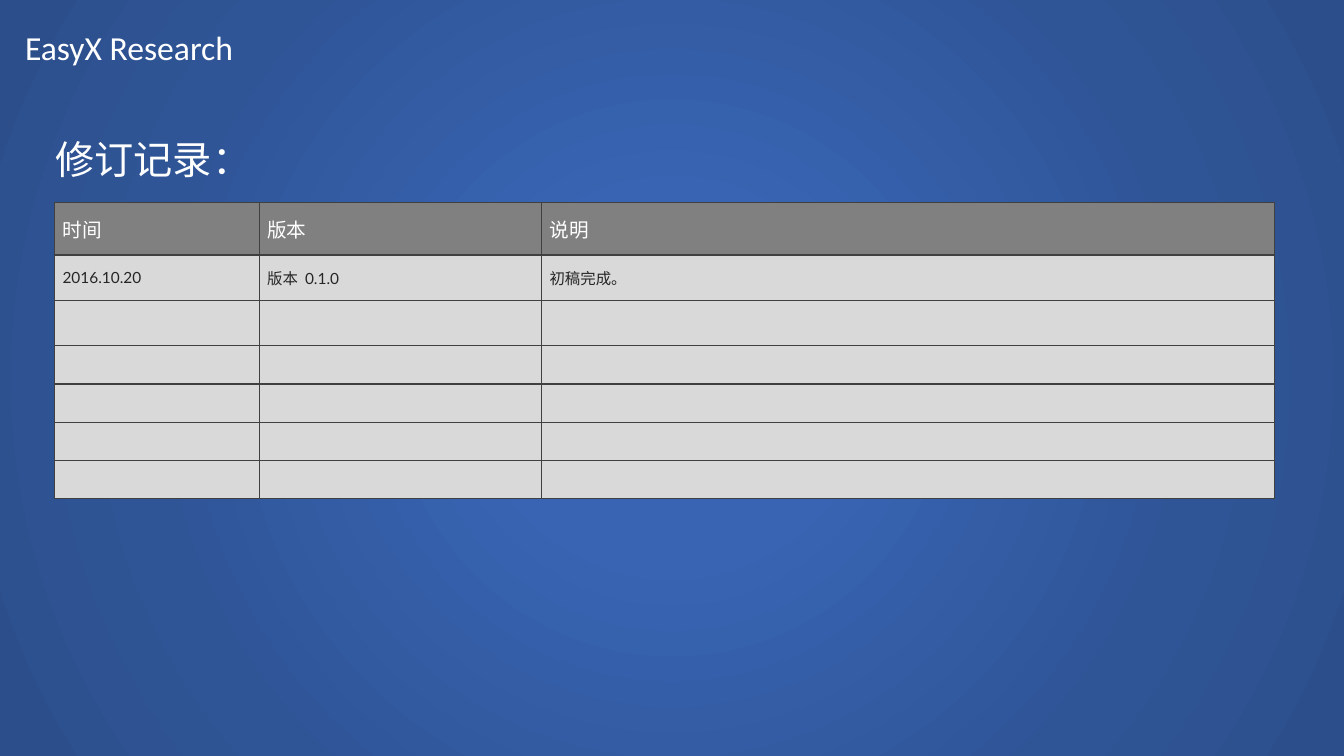
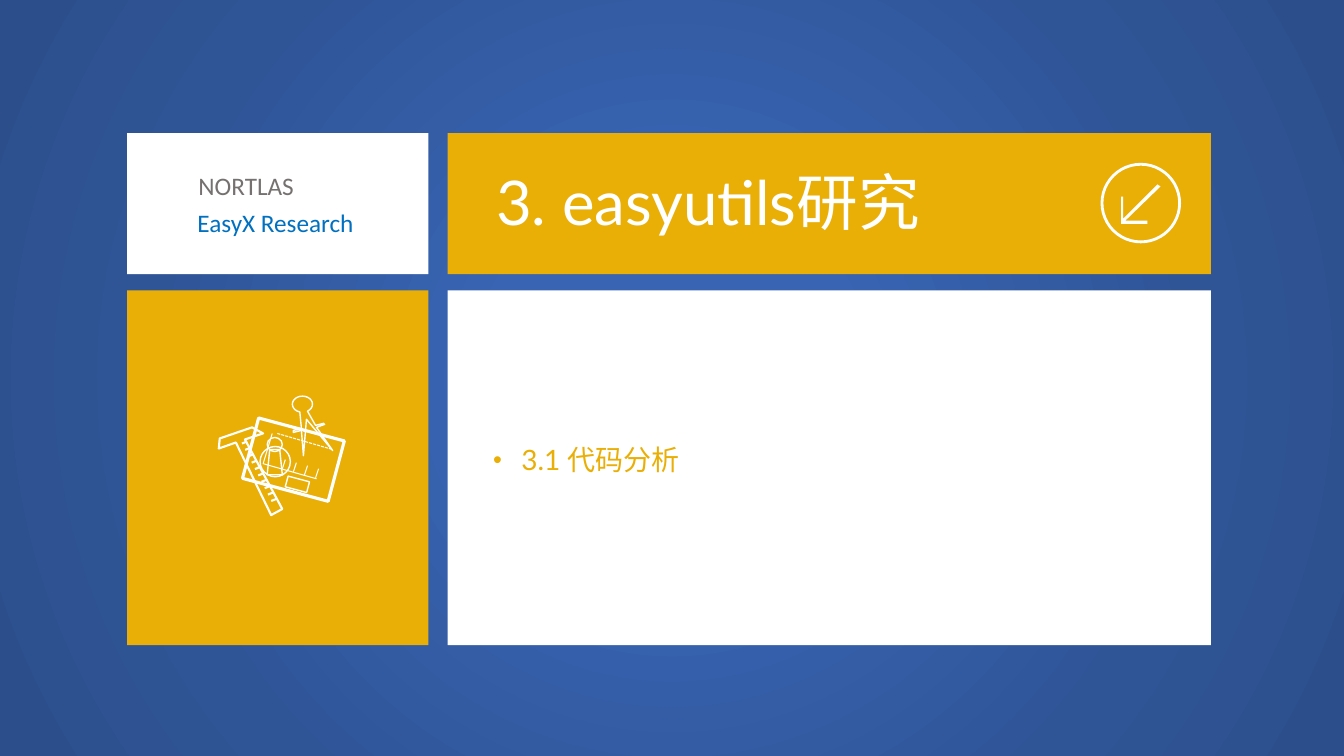
import math

import lxml.etree
import pptx
import pptx.dml.color
import pptx.enum.dml
import pptx.enum.shapes
import pptx.enum.text
import pptx.oxml
import pptx.oxml.ns
import pptx.util

Inches = pptx.util.Inches
RGB = pptx.dml.color.RGBColor
SHAPE = pptx.enum.shapes.MSO_SHAPE
STRAIGHT = pptx.enum.shapes.MSO_CONNECTOR.STRAIGHT
ANCHOR = pptx.enum.text.MSO_ANCHOR
qn = pptx.oxml.ns.qn

WHITE = RGB(0xFF, 0xFF, 0xFF)
GOLD = RGB(0xEA, 0xAF, 0x07)
BLUE = RGB(0x00, 0x70, 0xC0)
GREY = RGB(0x76, 0x71, 0x71)
HEAD = RGB(0x80, 0x80, 0x80)
CELL = RGB(0xD9, 0xD9, 0xD9)
INK = RGB(0x26, 0x26, 0x26)
RULE = RGB(0x40, 0x40, 0x40)
GLOW = [(0, RGB(0x38, 0x64, 0xB3)), (23, RGB(0x38, 0x64, 0xB3)),
        (69, RGB(0x2F, 0x55, 0x97)), (97, RGB(0x2C, 0x4F, 0x8C))]

BODY = "Lato"
LABEL = "Calibri"
WIDE, HIGH = 13.33, 7.5
FRAME = {"word_wrap": True, "vertical_anchor": ANCHOR.TOP,
         "auto_size": pptx.enum.text.MSO_AUTO_SIZE.SHAPE_TO_FIT_TEXT,
         "margin_left": Inches(0.1), "margin_right": Inches(0.1),
         "margin_top": Inches(0.05), "margin_bottom": Inches(0.05)}
PAD = {"margin_left": Inches(0.08), "margin_right": Inches(0.08),
       "margin_top": Inches(0.04), "margin_bottom": Inches(0.04),
       "vertical_anchor": ANCHOR.MIDDLE}


def apply(item, vals):
    """Set every attribute in a dict of format values."""
    for key, val in vals.items():
        setattr(item, key, val)


def write(frame, text, size, font, color):
    """Write one left-aligned paragraph in one style."""
    para = frame.paragraphs[0]
    para.alignment = pptx.enum.text.PP_ALIGN.LEFT
    run = para.add_run()
    run.text = text
    apply(run.font, {"size": pptx.util.Pt(size), "name": font, "bold": False})
    run.font.color.rgb = color
    return para


def label(slide, box, text, size, font, color):
    """Add a line of free text."""
    frame = slide.shapes.add_textbox(*map(Inches, box)).text_frame
    apply(frame, FRAME)
    write(frame, text, size, font, color)


def fill_in(slide, index, box, text, size, color, inset=None):
    """Move a placeholder to its box, bring it forward and fill it."""
    holder = slide.placeholders[index]
    apply(holder, dict(zip(("left", "top", "width", "height"), map(Inches, box))))
    apply(holder.text_frame, FRAME | (inset or {}))
    slide.shapes.element.append(holder.element)
    return write(holder.text_frame, text, size, BODY, color)


def style(shape, fill=None, line=None, width=1):
    """Give a shape a plain fill and line without shadow."""
    shape.shadow.inherit = False
    if fill is None:
        shape.fill.background()
    else:
        shape.fill.solid()
        shape.fill.fore_color.rgb = fill
    if line is None:
        shape.line.fill.background()
    else:
        shape.line.color.rgb = line
        shape.line.width = pptx.util.Pt(width)
    return shape


def panel(shapes, box, kind=SHAPE.RECTANGLE, **look):
    """Add a styled preset shape."""
    return style(shapes.add_shape(kind, *map(Inches, box)), **look)


def outline(shapes, spots, **look):
    """Add a closed outline through the given spots."""
    spots = [(Inches(x), Inches(y)) for x, y in spots]
    pen = shapes.build_freeform(*spots[0], scale=1.0)
    pen.add_line_segments(spots[1:], close=True)
    return style(pen.convert_to_shape(), **look)


def stroke(shapes, start, end, width):
    """Add a white straight line."""
    line = shapes.add_connector(STRAIGHT, *map(Inches, (*start, *end)))
    line.line.color.rgb = WHITE
    line.line.width = pptx.util.Pt(width)
    lxml.etree.SubElement(line.element.spPr, qn("a:effectLst"))
    return line


def base(deck, layout):
    """Start a slide on the shared radial backdrop."""
    slide = deck.slides.add_slide(deck.slide_layouts[layout])
    back = panel(slide.shapes, (0, 0, WIDE, HIGH))
    stops = "".join(f'<a:gs pos="{spot * 1000}"><a:srgbClr val="{tone}"/></a:gs>'
                    for spot, tone in GLOW)
    grad = pptx.oxml.parse_xml(
        f'<a:gradFill {pptx.oxml.ns.nsdecls("a")} rotWithShape="1"><a:gsLst>{stops}</a:gsLst>'
        '<a:path path="circle"><a:fillToRect l="50000" t="50000" r="50000" b="50000"/>'
        '</a:path></a:gradFill>')
    props = back.element.spPr
    props.replace(props.find(qn("a:noFill")), grad)
    return slide


def border(cell):
    """Draw thin lines on all four sides of a cell."""
    props = cell._tc.get_or_add_tcPr()
    for spot, side in enumerate(("lnL", "lnR", "lnT", "lnB")):
        props.insert(spot, pptx.oxml.parse_xml(
            f'<a:{side} {pptx.oxml.ns.nsdecls("a")} w="12700"><a:solidFill>'
            f'<a:srgbClr val="{RULE}"/></a:solidFill></a:{side}>'))


def grid(slide, box, cols, rows, data):
    """Add the table of changes, with spare rows below the data."""
    table = slide.shapes.add_table(len(rows), len(cols), *map(Inches, box)).table
    table.horz_banding = False
    for col, width in zip(table.columns, cols):
        col.width = Inches(width)
    for i, (row, height) in enumerate(zip(table.rows, rows)):
        row.height = Inches(height)
        size, color, fill = (11, INK, CELL) if i else (14, WHITE, HEAD)
        for j, cell in enumerate(row.cells):
            apply(cell, PAD)
            cell.fill.solid()
            cell.fill.fore_color.rgb = fill
            border(cell)
            if i < len(data):
                write(cell.text_frame, data[i][j], size, BODY, color)


def arrow(slide, box):
    """Draw the ringed arrow."""
    x, y, width, height = box
    panel(slide.shapes, (x + 0.01, y + 0.01, width - 0.02, height - 0.02),
          SHAPE.OVAL, line=WHITE, width=2)
    spots = [(0.46, 0.6), (0.2, 0.6), (0.2, 0.33), (0.22, 0.33), (0.22, 0.55),
             (0.56, 0.21), (0.59, 0.23), (0.24, 0.57), (0.46, 0.57)]
    outline(slide.shapes, [(x + a, y + b) for a, b in spots], fill=WHITE)


def tools(slide, x, y):
    """Draw the drafting sheet, compass and ruler as one group."""
    group = slide.shapes.add_group_shape().shapes

    def part(box, kind, width=1, turn=0):
        """Add an unfilled shape at an offset."""
        shape = panel(group, (x + box[0], y + box[1], *box[2:]), kind,
                      line=WHITE, width=width)
        shape.rotation = turn
        return shape

    def mark(a, b, c, d, width=0.75):
        """Add a line between two offsets."""
        return stroke(group, (x + a, y + b), (x + c, y + d), width)

    def trace(spots, width):
        """Add an outline through offsets."""
        outline(group, [(x + a, y + b) for a, b in spots], line=WHITE, width=width)

    part((0.48, 0.42, 0.15, 0.14), SHAPE.OVAL)
    part((0.48, 0.54, 0.15, 0.25), SHAPE.TRAPEZOID).adjustments[0] = 0.17
    part((0.3, 0.33, 0.88, 0.62), SHAPE.RECTANGLE, 2.25, 15)
    part((0.41, 0.51, 0.3, 0.3), SHAPE.OVAL)
    part((0.67, 0.83, 0.22, 0.11), SHAPE.RECTANGLE, turn=15)
    mark(0.44, 0.68, 0.97, 0.83)
    mark(0.53, 0.38, 0.44, 0.68)
    dash = mark(0.58, 0.38, 1.13, 0.54)
    dash.line.dash_style = pptx.enum.dml.MSO_LINE.SQUARE_DOT
    for i in range(4):
        a, b = 0.63 + 0.11 * i, 0.73 + 0.03 * i
        mark(a, b, a + 0.03, b - 0.09)

    ring = [(0.83 + 0.1 * math.cos(math.radians(turn)),
             0.09 + 0.08 * math.sin(math.radians(turn)))
            for turn in range(60, -256, -15)]
    legs = [(0.82, 0.33), (0.74, 0.35), (0.74, 0.37), (0.82, 0.35), (0.84, 0.6),
            (0.87, 0.24), (1.13, 0.55), (0.97, 0.32), (1.05, 0.29),
            (1.04, 0.28), (0.96, 0.3)]
    trace(ring + legs, 1)
    trace([(0.17, 0.47), (0.52, 1.19), (0.63, 1.13), (0.26, 0.44),
           (0.44, 0.38), (0.33, 0.32), (0.01, 0.43), (0, 0.53)], 1.5)
    for i in range(10):
        a, b = 0.28 + 0.29 * i / 9, 0.46 + 0.57 * i / 9
        mark(a, b, a - 0.05, b + 0.02, 1.5)


def bullet(para):
    """Turn a paragraph into a hanging bullet."""
    props = para._p.get_or_add_pPr()
    hang = Inches(0.28)
    props.set("marL", str(hang))
    props.set("indent", str(-hang))
    lxml.etree.SubElement(props, qn("a:buSzPct")).set("val", "90000")
    lxml.etree.SubElement(props, qn("a:buChar")).set("char", "•")
    apply(para, {"line_spacing": 0.9, "space_before": pptx.util.Pt(0)})


def record(deck):
    """Build the slide with the table of changes."""
    slide = base(deck, 5)
    label(slide, (0.15, 0.22, 5.04, 0.5), "EasyX Research", 24, LABEL, WHITE)
    fill_in(slide, 0, (0.45, 1.29, 11.77, 0.57), "修订记录：", 28, WHITE)
    grid(slide, (0.54, 2.01, 12.1, 2.96), [2.03, 2.8, 7.27],
         [0.52, 0.45, 0.45] + [0.38] * 4,
         [("时间", "版本", "说明"), ("2016.10.20", "版本  0.1.0", "初稿完成。")])


def chapter(deck, box):
    """Build the chapter slide of four panels."""
    slide = base(deck, 1)
    x, y, width, height = box
    side, top, gap, rift = 2.99, 1.4, 0.19, 0.16
    main, low = x + side + gap, y + top + rift
    rest, tall = width - side - gap, height - top - rift
    for spot, fill in (((x, y, side, top), WHITE), ((main, y, rest, top), GOLD),
                       ((x, low, side, tall), GOLD), ((main, low, rest, tall), WHITE)):
        panel(slide.shapes, spot, fill=fill)
    label(slide, (x + 0.61, y + 0.32, 1.72, 0.4), "NORTLAS", 18, LABEL, GREY)
    label(slide, (x + 0.6, y + 0.69, 2.18, 0.4), "EasyX Research", 18, LABEL, BLUE)
    fill_in(slide, 0, (main + 0.38, y + 0.26, 6.11, 0.84), "3. easyutils研究", 44, WHITE)
    arrow(slide, (main + 6.48, y + 0.3, 0.79, 0.79))
    inset = {"margin_" + edge: Inches(0.07) for edge in ("left", "right", "top", "bottom")}
    bullet(fill_in(slide, 1, (main + 0.38, low + 1.48, 6.49, 0.46),
                   "3.1 代码分析", 20, GOLD, inset))
    tools(slide, x + 0.91, low + 1.04)


def main():
    """Build and save the deck."""
    deck = pptx.Presentation()
    apply(deck, {"slide_width": Inches(WIDE), "slide_height": Inches(HIGH)})
    record(deck)
    chapter(deck, (1.26, 1.32, 10.75, 5.08))
    deck.save("out.pptx")


if __name__ == "__main__":
    main()
